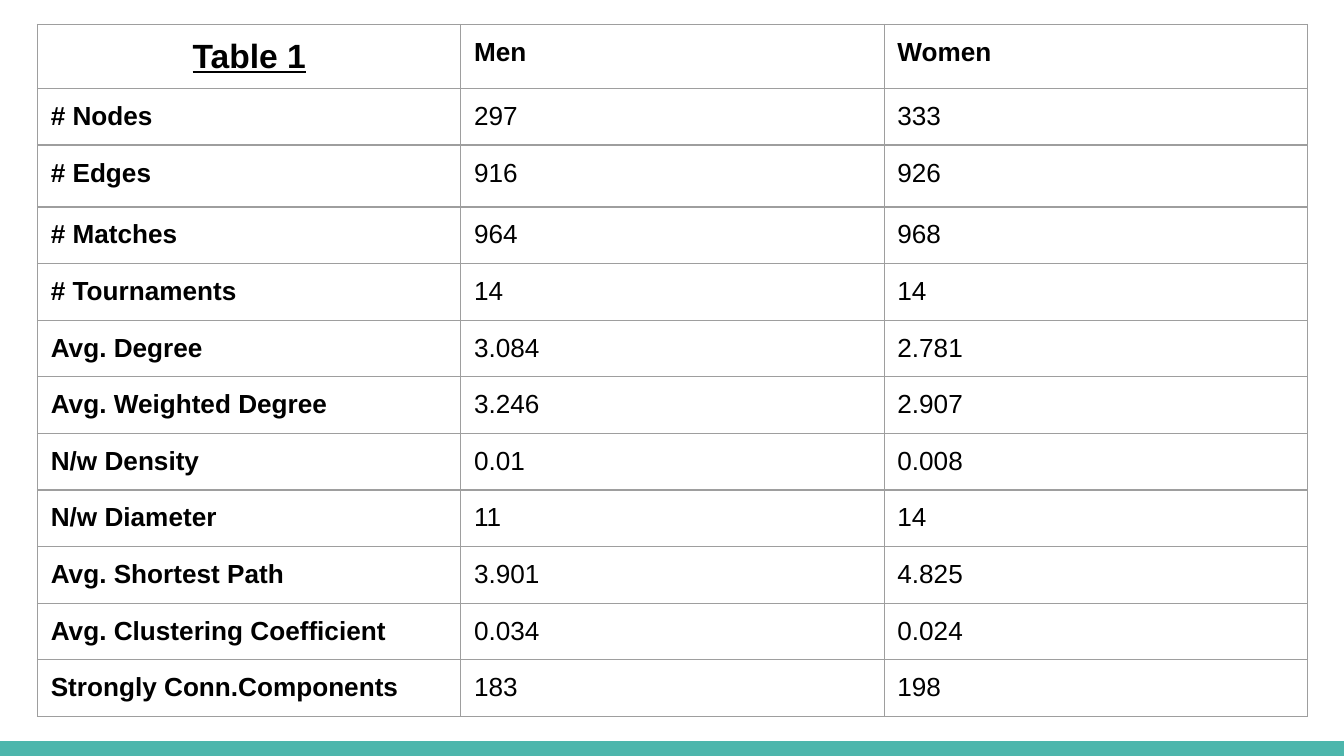
"""Build a slide with a table comparing the men's and women's tennis networks."""
from dataclasses import dataclass

from lxml import etree
from pptx import Presentation
from pptx.dml.color import RGBColor
from pptx.enum.shapes import MSO_SHAPE
from pptx.enum.text import PP_ALIGN
from pptx.oxml.ns import qn
from pptx.util import Cm, Pt

RECTANGLE = MSO_SHAPE.RECTANGLE
LEFT = PP_ALIGN.LEFT
CENTER = PP_ALIGN.CENTER
BLANK_LAYOUT = 6


@dataclass(frozen=True)
class Theme:
    font: str = "Arial"
    ink: str = "000000"
    paper: str = "FFFFFF"
    accent: str = "4DB6AC"
    rule: str = "9E9E9E"
    rule_width: float = 0.75
    title_size: int = 18
    body_size: int = 14


THEME = Theme()

METRICS = [
    ("# Nodes", "297", "333"),
    ("# Edges", "916", "926"),
    ("# Matches", "964", "968"),
    ("# Tournaments", "14", "14"),
    ("Avg. Degree", "3.084", "2.781"),
    ("Avg. Weighted Degree", "3.246", "2.907"),
    ("N/w Density", "0.01", "0.008"),
    ("N/w Diameter", "11", "14"),
    ("Avg. Shortest Path", "3.901", "4.825"),
    ("Avg. Clustering Coefficient", "0.034", "0.024"),
    ("Strongly Conn.Components", "183", "198"),
]
ROWS = [("Table 1", "Men", "Women"), *METRICS]
TALL_ROWS = {0, 2}
TALL_HEIGHT, ROW_HEIGHT = Cm(1.17), Cm(1.07)
COLUMN_WIDTH = Cm(8)
PADDING = Cm(0.25)


def write(frame, text, *, size=THEME.body_size, bold=False, underline=False, align=LEFT):
    paragraph = frame.paragraphs[0]
    paragraph.alignment = align
    run = paragraph.add_run()
    run.text = text
    font = run.font
    font.name = THEME.font
    font.size = Pt(size)
    font.bold = bold
    font.underline = underline
    font.color.rgb = RGBColor.from_string(THEME.ink)


def rule_cell(cell):
    properties = cell._tc.get_or_add_tcPr()
    for position, side in enumerate(("a:lnL", "a:lnR", "a:lnT", "a:lnB")):
        line = etree.Element(qn(side), w=str(Pt(THEME.rule_width)))
        fill = etree.SubElement(line, qn("a:solidFill"))
        etree.SubElement(fill, qn("a:srgbClr"), val=THEME.rule)
        properties.insert(position, line)


def style_cell(cell):
    cell.margin_left = cell.margin_right = PADDING
    cell.margin_top = cell.margin_bottom = PADDING
    cell.fill.background()
    rule_cell(cell)


def add_metrics_table(slide):
    heights = [TALL_HEIGHT if i in TALL_ROWS else ROW_HEIGHT for i in range(len(ROWS))]
    columns = len(ROWS[0])
    table = slide.shapes.add_table(
        len(ROWS), columns, Cm(0.71), Cm(0.46), COLUMN_WIDTH * columns, sum(heights)
    ).table
    for column in table.columns:
        column.width = COLUMN_WIDTH
    for i, (values, height) in enumerate(zip(ROWS, heights)):
        table.rows[i].height = height
        for j, value in enumerate(values):
            cell = table.cell(i, j)
            style_cell(cell)
            if i == j == 0:
                write(cell.text_frame, value, size=THEME.title_size,
                      bold=True, underline=True, align=CENTER)
            else:
                write(cell.text_frame, value, bold=i == 0 or j == 0)


def add_footer_bar(slide, width, bottom):
    height = Cm(0.28)
    bar = slide.shapes.add_shape(RECTANGLE, 0, bottom - height, width, height)
    bar.shadow.inherit = False
    bar.fill.solid()
    bar.fill.fore_color.rgb = RGBColor.from_string(THEME.accent)
    bar.line.fill.background()


def main():
    deck = Presentation()
    deck.slide_width, deck.slide_height = Cm(25.4), Cm(14.29)
    slide = deck.slides.add_slide(deck.slide_layouts[BLANK_LAYOUT])
    slide.background.fill.solid()
    slide.background.fill.fore_color.rgb = RGBColor.from_string(THEME.paper)
    add_footer_bar(slide, deck.slide_width, deck.slide_height)
    add_metrics_table(slide)
    deck.save("out.pptx")


if __name__ == "__main__":
    main()
